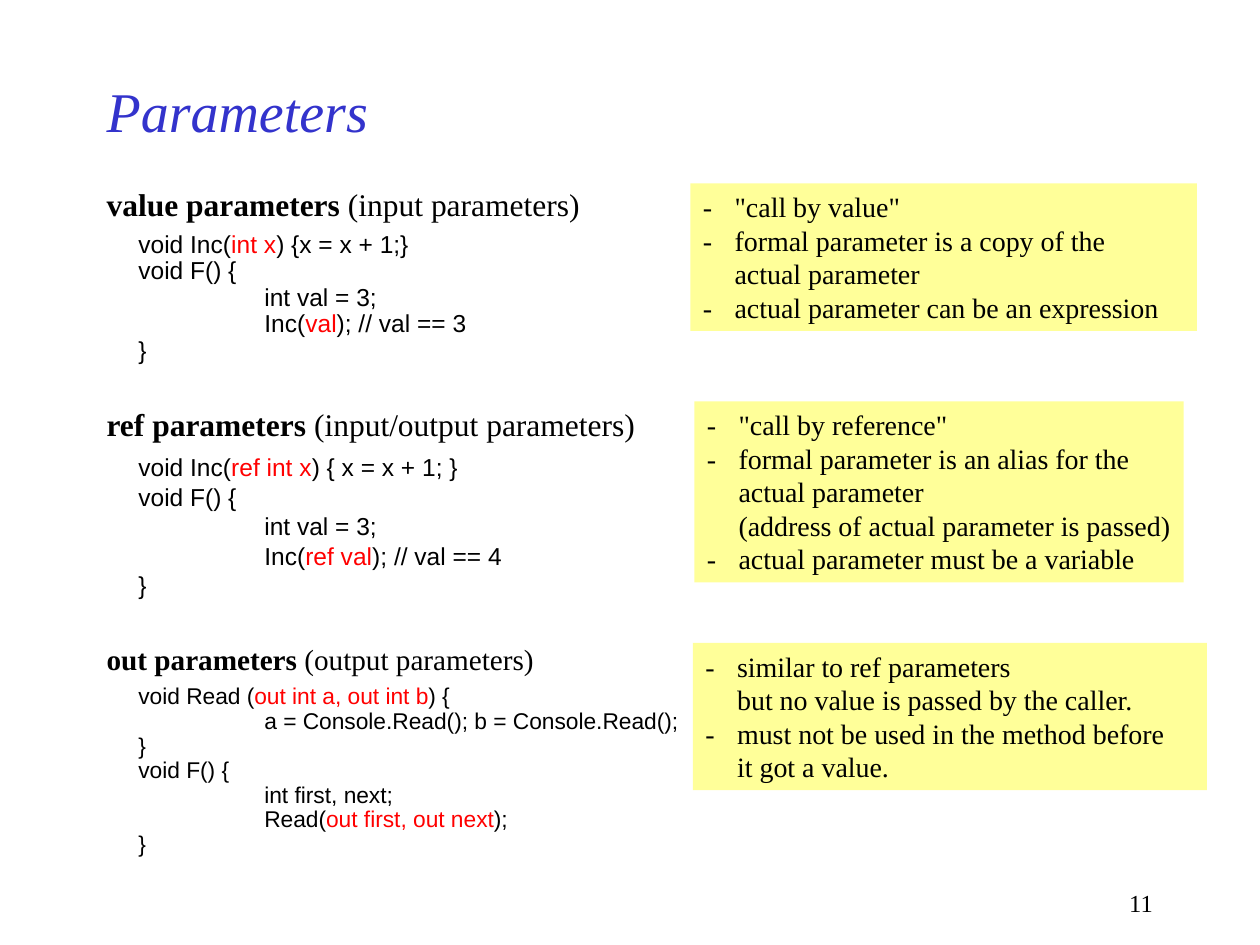
from dataclasses import dataclass

from lxml import etree
from pptx import Presentation
from pptx.dml.color import RGBColor
from pptx.enum.shapes import MSO_SHAPE
from pptx.enum.text import MSO_ANCHOR, PP_ALIGN
from pptx.oxml.ns import qn
from pptx.util import Cm, Pt

RECTANGLE = MSO_SHAPE.RECTANGLE
MIDDLE = MSO_ANCHOR.MIDDLE
TOP = MSO_ANCHOR.TOP
LEFT = PP_ALIGN.LEFT
RIGHT = PP_ALIGN.RIGHT

COLORS = {"title": "3333CC", "text": "000000", "accent": "FF0000", "note": "FFFF99"}
SERIF = "Times New Roman"
SANS = "Arial"
MARGIN_LEFT = 1.9
CODE_WIDTH = 12.07
CODE_TABS = (0.64, 3.18)
NOTE_TABS = (0.64,)


@dataclass
class Box:
    left: float
    top: float
    width: float
    height: float


@dataclass
class CodeBlock:
    """Heading and code lines; every second part between bars is accented."""
    box: Box
    heading: str
    remark: str
    lines: list[str]
    heading_size: float = 18
    code_size: float = 14
    line_spacing: float = 0.9


@dataclass
class Note:
    box: Box
    items: list[str]
    wrap: bool = True


CODE_BLOCKS = [
    CodeBlock(
        Box(MARGIN_LEFT, 3.61, CODE_WIDTH, 4.17),
        "value parameters", " (input parameters)",
        ["\tvoid Inc(|int x|) {x = x + 1;}", "\tvoid F() {", "\t\tint val = 3;",
         "\t\tInc(|val|); // val == 3", "\t}"],
    ),
    CodeBlock(
        Box(MARGIN_LEFT, 8.05, CODE_WIDTH, 4.27),
        "ref parameters", " (input/output parameters)",
        ["\tvoid Inc(|ref int x|) { x = x + 1; }", "\tvoid F() {", "\t\tint val = 3;",
         "\t\tInc(|ref val|); // val == 4", "\t}"],
        line_spacing=1.0,
    ),
    CodeBlock(
        Box(MARGIN_LEFT, 12.8, CODE_WIDTH, 5.28),
        "out parameters", " (output parameters)",
        ["\tvoid Read (|out int a, out int b|) {",
         "\t\ta = Console.Read(); b = Console.Read();", "\t}", "\tvoid F() {",
         "\t\tint first, next;", "\t\tRead(|out first, out next|);", "\t}"],
        heading_size=16.7, code_size=13,
    ),
]

NOTES = [
    Note(Box(13.92, 3.7, 10.21, 2.97),
         ['-\t"call by value"',
          "-\tformal parameter is a copy of the\n\tactual parameter",
          "-\tactual parameter can be an expression"]),
    Note(Box(14.0, 8.09, 9.86, 3.65),
         ['-\t"call by reference"', "-\tformal parameter is an alias for the",
          "\tactual parameter", "\t(address of actual parameter is passed)",
          "-\tactual parameter must be a variable"], wrap=False),
    Note(Box(13.97, 12.96, 10.36, 2.97),
         ["-\tsimilar to ref parameters\n\tbut no value is passed by the caller.",
          "-\tmust not be used in the method before\n\tit got a value."]),
]


def lengths(box: Box) -> tuple:
    return Cm(box.left), Cm(box.top), Cm(box.width), Cm(box.height)


def style(span, size: float, font: str = SERIF, color: str = "text",
          bold: bool = False, italic: bool = False) -> None:
    span.font.size = Pt(size)
    span.font.name = font
    span.font.bold = bold
    span.font.italic = italic
    span.font.color.rgb = RGBColor.from_string(COLORS[color])


def set_tabs(para, stops: tuple) -> None:
    """Give the paragraph left tab stops, in centimetres."""
    tab_list = etree.SubElement(para._p.get_or_add_pPr(), qn("a:tabLst"))
    for stop in stops:
        etree.SubElement(tab_list, qn("a:tab"), pos=str(Cm(stop)), algn="l")


def add_label(page, box: Box, text: str, size: float, color: str = "text",
              italic: bool = False, align=LEFT, anchor=TOP) -> None:
    frame = page.shapes.add_textbox(*lengths(box)).text_frame
    frame.word_wrap = True
    frame.vertical_anchor = anchor
    frame.text = text
    para = frame.paragraphs[0]
    para.alignment = align
    style(para.runs[0], size, color=color, italic=italic)


def add_span(para, text: str):
    span = para.add_run()
    span.text = text
    return span


def add_code_block(page, block: CodeBlock) -> None:
    frame = page.shapes.add_textbox(*lengths(block.box)).text_frame
    frame.word_wrap = True
    heading = frame.paragraphs[0]
    heading.text = block.heading
    style(heading.runs[0], block.heading_size, bold=True)
    style(add_span(heading, block.remark), block.heading_size)
    for number, line in enumerate(block.lines):
        para = frame.add_paragraph()
        para.line_spacing = block.line_spacing
        para.space_before = Pt(0 if number else 5.2)
        set_tabs(para, CODE_TABS)
        for index, part in enumerate(line.split("|")):
            color = "accent" if index % 2 else "text"
            style(add_span(para, part), block.code_size, SANS, color)


def add_note(page, note: Note) -> None:
    shape = page.shapes.add_shape(RECTANGLE, *lengths(note.box))
    shape.shadow.inherit = False
    shape.fill.solid()
    shape.fill.fore_color.rgb = RGBColor.from_string(COLORS["note"])
    shape.line.fill.background()
    frame = shape.text_frame
    frame.word_wrap = note.wrap
    frame.vertical_anchor = TOP
    for number, item in enumerate(note.items):
        para = frame.add_paragraph() if number else frame.paragraphs[0]
        para.text = item
        para.alignment = LEFT
        set_tabs(para, NOTE_TABS)
        for span in para.runs:
            style(span, 16)


def main() -> None:
    deck = Presentation()
    deck.slide_width, deck.slide_height = Cm(25.4), Cm(19.05)
    page = deck.slides.add_slide(deck.slide_layouts[6])
    add_label(page, Box(MARGIN_LEFT, 1.27, 19.05, 1.91), "Parameters", 32,
              "title", italic=True, anchor=MIDDLE)
    for block in CODE_BLOCKS:
        add_code_block(page, block)
    for note in NOTES:
        add_note(page, note)
    add_label(page, Box(18.21, 17.78, 5.28, 0.84), "11", 14, align=RIGHT)
    deck.save("out.pptx")


if __name__ == "__main__":
    main()
